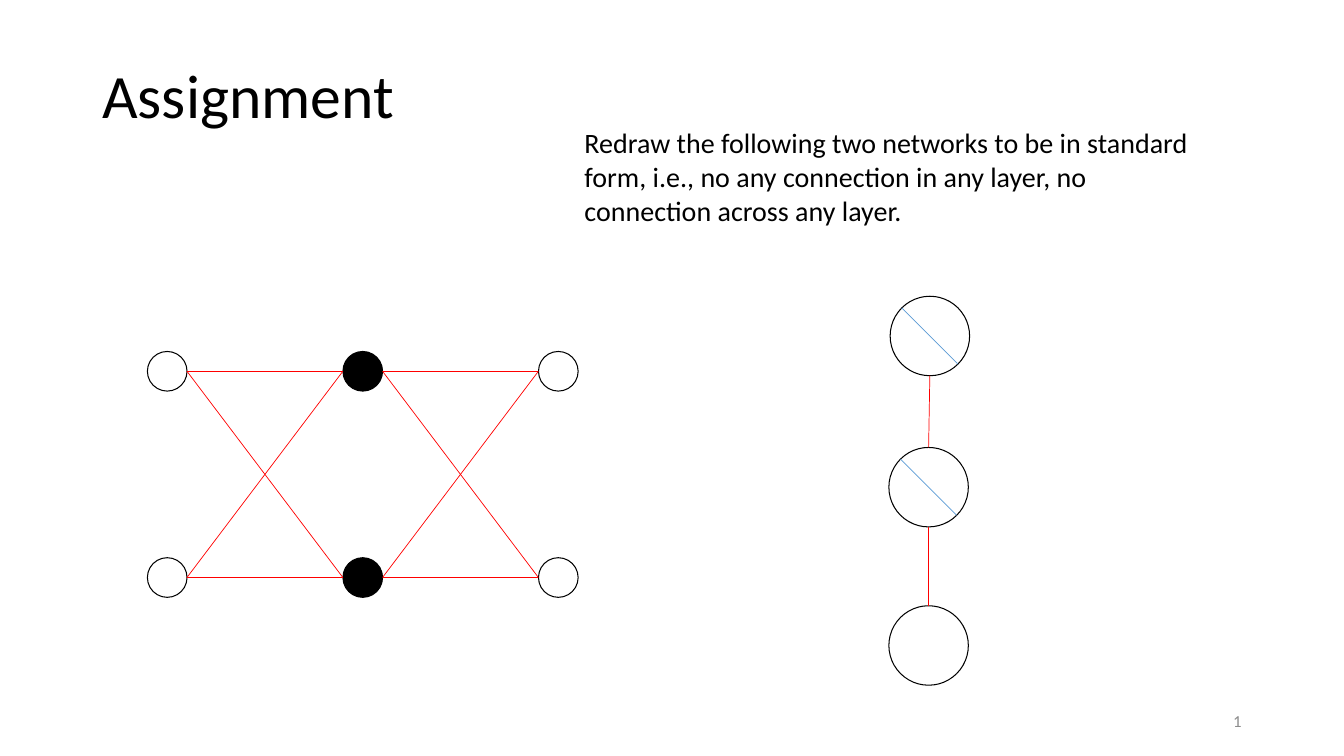
import math
import itertools
from dataclasses import dataclass

import pptx
import pptx.dml.color
import pptx.enum.shapes
import pptx.enum.text
import pptx.oxml.ns
import pptx.util
from lxml import etree

ALIGN = pptx.enum.text.PP_ALIGN
ANCHOR = pptx.enum.text.MSO_ANCHOR


@dataclass(frozen=True)
class Theme:
    font: str = "Calibri"
    ink: str = "000000"
    paper: str = "FFFFFF"
    link: str = "FF0000"
    chord: str = "5B9BD5"
    muted: str = "8C8C8C"
    title: int = 44
    body: int = 20
    number: int = 12
    outline: float = 0.75
    hairline: float = 0.5


class Deck:
    columns, rows = 160, 90

    def __init__(self, theme):
        self.theme = theme
        self.prs = pptx.Presentation()
        self.prs.slide_width = pptx.util.Inches(13.333)
        self.prs.slide_height = pptx.util.Inches(7.5)
        self.slide = self.prs.slides.add_slide(self.prs.slide_layouts[6])

    def x(self, column):
        return round(self.prs.slide_width * column / self.columns)

    def y(self, row):
        return round(self.prs.slide_height * row / self.rows)

    def color(self, value):
        return pptx.dml.color.RGBColor.from_string(value)

    def text(self, text, left, top, width, height, size, color,
             align=ALIGN.LEFT, anchor=ANCHOR.TOP, spacing=None):
        s = self.slide.shapes.add_textbox(
            self.x(left), self.y(top), self.x(width), self.y(height))
        tf = s.text_frame
        tf.text = text
        tf.word_wrap = True
        tf.vertical_anchor = anchor
        p = tf.paragraphs[0]
        p.alignment = align
        p.line_spacing = spacing
        r = p.runs[0]
        r.font.name = self.theme.font
        r.font.size = pptx.util.Pt(size)
        r.font.color.rgb = self.color(color)

    def node(self, cx, cy, radius, fill):
        s = self.slide.shapes.add_shape(
            pptx.enum.shapes.MSO_SHAPE.OVAL,
            self.x(cx - radius), self.y(cy - radius),
            self.x(2 * radius), self.y(2 * radius))
        s.rotation = 90
        s.shadow.inherit = False
        s.fill.solid()
        s.fill.fore_color.rgb = self.color(fill)
        s.line.color.rgb = self.color(self.theme.ink)
        s.line.width = pptx.util.Pt(self.theme.outline)

    def line(self, x1, y1, x2, y2, color):
        s = self.slide.shapes.add_connector(
            pptx.enum.shapes.MSO_CONNECTOR.STRAIGHT,
            self.x(x1), self.y(y1), self.x(x2), self.y(y2))
        s.line.color.rgb = self.color(color)
        s.line.width = pptx.util.Pt(self.theme.hairline)
        etree.SubElement(s._element.spPr, pptx.oxml.ns.qn("a:effectLst"))


def draw_layered_network(deck):
    t = deck.theme
    radius = 2.36
    layers = [19.9 + 23.28 * i for i in range(3)]
    levels = [44.2, 68.75]
    for cx, fill in zip(layers, (t.paper, t.ink, t.paper)):
        for cy in levels:
            deck.node(cx, cy, radius, fill)
    for left, right in itertools.pairwise(layers):
        for start, end in itertools.product(levels, repeat=2):
            deck.line(left + radius, start, right - radius, end, t.link)


def draw_chain_network(deck):
    t = deck.theme
    radius = 4.73
    nodes = [(110.7, 40), (110.55, 58), (110.55, 76.85)]
    for cx, cy in nodes:
        deck.node(cx, cy, radius, t.paper)
    for (upper_x, upper_y), (lower_x, lower_y) in itertools.pairwise(nodes):
        deck.line(lower_x, lower_y - radius, upper_x, upper_y + radius, t.link)
    reach = radius * math.sqrt(0.5)
    for cx, cy in nodes[:2]:
        deck.line(cx - reach, cy - reach, cx + reach, cy + reach, t.chord)


def main():
    t = Theme()
    deck = Deck(t)
    deck.text("1", 113, 83.4, 36, 4.8, t.number, t.muted,
              align=ALIGN.RIGHT, anchor=ANCHOR.MIDDLE)
    deck.text("Assignment", 11, 4.8, 138, 13.8, t.title, t.ink,
              anchor=ANCHOR.MIDDLE, spacing=0.9)
    deck.text("Redraw the following two networks to be in standard form, i.e., "
              "no any connection in any layer, no connection across any layer.",
              68.4, 14.4, 75.2, 13.3, t.body, t.ink)
    draw_layered_network(deck)
    draw_chain_network(deck)
    deck.prs.save("out.pptx")


if __name__ == "__main__":
    main()
